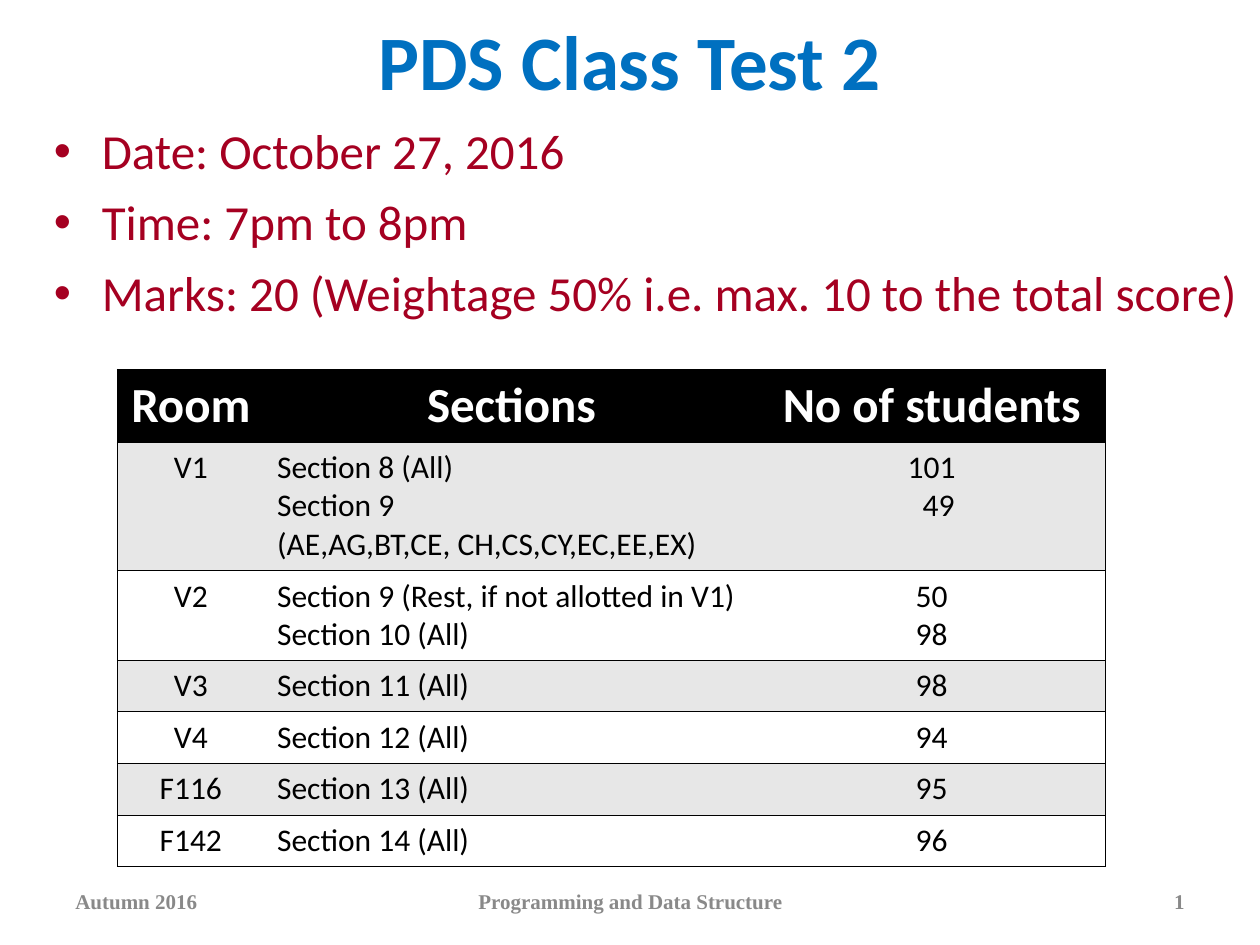
from lxml.etree import SubElement
from pptx import Presentation
from pptx.dml.color import RGBColor
from pptx.enum.text import MSO_ANCHOR, PP_ALIGN
from pptx.oxml.ns import qn
from pptx.util import Inches, Pt

BLUE = RGBColor(0x00, 0x70, 0xC0)
CRIMSON = RGBColor(0xA5, 0x00, 0x21)
BLACK = RGBColor(0x00, 0x00, 0x00)
WHITE = RGBColor(0xFF, 0xFF, 0xFF)
BAND = RGBColor(0xE7, 0xE7, 0xE7)
GREY = RGBColor(0x89, 0x89, 0x89)

BODY_FONT = "Calibri"
FOOTER_FONT = "Times New Roman"

DETAILS = [
    "Date: October 27, 2016",
    "Time: 7pm to 8pm",
    "Marks: 20 (Weightage 50% i.e. max. 10 to the total score)",
]
COL_WIDTHS = [1.17, 3.92, 2.75]
ROW_HEIGHTS = [0.58, 1.02, 0.71] + [0.41] * 4
ROWS = [
    ("Room", "Sections", "No of students"),
    ("V1", "Section 8 (All)\nSection 9\n(AE,AG,BT,CE, CH,CS,CY,EC,EE,EX)", "101\n49"),
    ("V2", "Section 9 (Rest, if not allotted in V1)\nSection 10 (All)", "50\n98"),
    ("V3", "Section 11 (All)", "98"),
    ("V4", "Section 12 (All)", "94"),
    ("F116", "Section 13 (All)", "95"),
    ("F142", "Section 14 (All)", "96"),
]


def format_text(tf, size, color, font=BODY_FONT, bold=False, align=PP_ALIGN.LEFT):
    for p in tf.paragraphs:
        p.alignment = align
        for r in p.runs:
            r.font.name = font
            r.font.size = Pt(size)
            r.font.bold = bold
            r.font.color.rgb = color


def add_text(s, text, left, top, width, height):
    tf = s.shapes.add_textbox(*map(Inches, (left, top, width, height))).text_frame
    tf.word_wrap = True
    tf.text = text
    return tf


def add_title(s, text):
    sp = s.shapes.title
    sp.left, sp.top, sp.width, sp.height = map(Inches, (0.5, 0, 9, 0.95))
    tf = sp.text_frame
    tf.text = text
    tf.vertical_anchor = MSO_ANCHOR.MIDDLE
    format_text(tf, 44, BLUE, bold=True, align=PP_ALIGN.CENTER)


def add_bullet(p, color):
    pPr = p._p.get_or_add_pPr()
    pPr.set("marL", str(Inches(0.38)))
    pPr.set("indent", str(-Inches(0.38)))
    SubElement(SubElement(pPr, qn("a:buClr")), qn("a:srgbClr"), val=str(color))
    SubElement(pPr, qn("a:buFont"), typeface="Arial")
    SubElement(pPr, qn("a:buChar"), char="•")


def add_bullets(s, items):
    tf = add_text(s, "\n".join(items), 0.33, 0.91, 9.92, 2.06)
    for i, p in enumerate(tf.paragraphs):
        add_bullet(p, CRIMSON)
        p.space_before = Pt(7 if i else 0)
    format_text(tf, 28, CRIMSON)


def set_borders(cell, visible):
    tcPr = cell._tc.get_or_add_tcPr()
    for side in "LRTB":
        ln = SubElement(tcPr, qn(f"a:ln{side}"), w=str(Pt(0.45)))
        if side in visible:
            fill = SubElement(ln, qn("a:solidFill"))
            SubElement(fill, qn("a:srgbClr"), val=str(BLACK))
        else:
            SubElement(ln, qn("a:noFill"))


def add_room_table(s):
    width, height = sum(COL_WIDTHS), sum(ROW_HEIGHTS)
    table = s.shapes.add_table(
        len(ROWS), len(COL_WIDTHS), *map(Inches, (0.93, 2.93, width, height))
    ).table
    for col, w in zip(table.columns, COL_WIDTHS):
        col.width = Inches(w)
    for row, h in zip(table.rows, ROW_HEIGHTS):
        row.height = Inches(h)
    outer_sides = ("LTB", "TB", "RTB")
    for i, texts in enumerate(ROWS):
        header = i == 0
        for j, text in enumerate(texts):
            cell = table.cell(i, j)
            cell.text = text
            set_borders(cell, outer_sides[j])
            cell.fill.solid()
            cell.fill.fore_color.rgb = BLACK if header else BAND if i % 2 else WHITE
            format_text(
                cell.text_frame,
                28 if header else 18,
                WHITE if header else BLACK,
                bold=header,
                align=PP_ALIGN.LEFT if j == 1 and not header else PP_ALIGN.CENTER,
            )
    second_count = table.cell(1, 2).text_frame.paragraphs[1]
    second_count._p.get_or_add_pPr().set("marL", str(Inches(0.11)))


def add_footer(s, text, left, width, align):
    tf = add_text(s, text, left, 6.95, width, 0.4)
    tf.vertical_anchor = MSO_ANCHOR.MIDDLE
    format_text(tf, 12, GREY, FOOTER_FONT, True, align)


def main():
    prs = Presentation()
    prs.slide_width, prs.slide_height = Inches(10), Inches(7.5)
    s = prs.slides.add_slide(prs.slide_layouts[5])
    add_title(s, "PDS Class Test 2")
    add_bullets(s, DETAILS)
    add_room_table(s)
    add_footer(s, "Autumn 2016", 0.5, 2.33, PP_ALIGN.LEFT)
    add_footer(s, "Programming and Data Structure", 3.42, 3.17, PP_ALIGN.CENTER)
    add_footer(s, "1", 7.17, 2.33, PP_ALIGN.RIGHT)
    prs.save("out.pptx")


if __name__ == "__main__":
    main()
